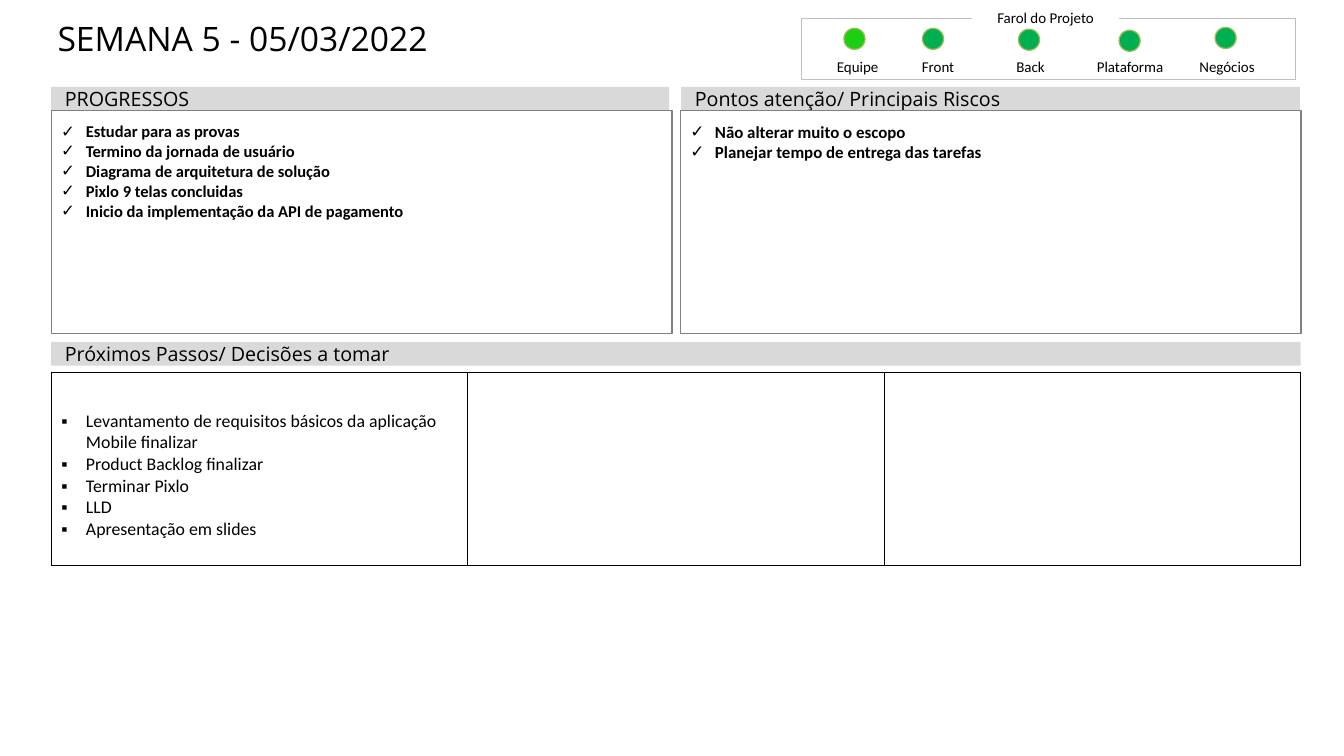
from lxml.etree import SubElement
from pptx import Presentation
from pptx.dml.color import RGBColor
from pptx.enum.shapes import MSO_SHAPE
from pptx.enum.text import MSO_ANCHOR, MSO_AUTO_SIZE, PP_ALIGN
from pptx.oxml.ns import qn
from pptx.util import Pt

BLACK, WHITE, BANNER_GREY = "000000", "FFFFFF", "D9D9D9"
FRAME_GREY, BOX_GREY, LIGHT_EDGE = "BFBFBF", "808080", "9BBB59"
LEFT, BOX_TOP, BOX_WIDTH, BOX_HEIGHT = 40.3, 87.1, 488.9, 175.7
RIGHT_LEFT, FULL_WIDTH = 535.7, 984
BANNER_TOP, BANNER_HEIGHT = 68.4, 18.7
TABLE_TOP, TABLE_HEIGHT, COLUMN_COUNT = 293.2, 152, 3
LABEL_TOP, LABEL_WIDTH, LABEL_HEIGHT, LIGHT_SIZE = 45.4, 70.6, 13.7, 16.6

TITLE_FONT = {"name": "Open Sans", "size": Pt(26.5), "bold": False}
BANNER_FONT = {"name": "Open Sans", "size": Pt(15.5)}
LABEL_FONT = {"name": "Calibri", "size": Pt(11.8)}
PROGRESS_FONT = {"name": "Calibri", "size": Pt(13), "bold": True}
RISK_FONT = {"name": "Calibri", "size": Pt(13.3), "bold": True}
STEP_FONT = {"name": "Calibri", "size": Pt(14)}

PROGRESS = [
    "Estudar para as provas",
    "Termino da jornada de usuário",
    "Diagrama de arquitetura de solução",
    "Pixlo\u00a09 telas concluidas",
    "Inicio da implementação da API de pagamento",
]
RISKS = ["Não alterar muito o escopo", "Planejar tempo de entrega das tarefas"]
NEXT_STEPS = [
    "Levantamento de requisitos básicos da aplicação Mobile finalizar",
    "Product Backlog finalizar",
    "Terminar\u00a0Pixlo",
    "LLD",
    "Apresentação em slides",
]
BANNERS = [
    ("PROGRESSOS", LEFT, BANNER_TOP, 486.7),
    ("Pontos atenção/ Principais Riscos", 536.4, BANNER_TOP, 487.4),
    ("Próximos Passos/ Decisões a tomar", LEFT, 269.3, FULL_WIDTH),
]
LIGHTS = [
    ("Equipe", 640.1, 664.6, 22.3, "1BCF13"),
    ("Front", 703.4, 726.5, 22.3, "00B050"),
    ("Back", 776.2, 802.1, 23, "00B050"),
    ("Plataforma", 854.6, 881.3, 23.8, "00B050"),
    ("Negócios", 931, 956.9, 21.6, "00B050"),
]


def color(value):
    """Turn a hex string into a colour."""
    return RGBColor.from_string(value)


def set_attributes(target, values):
    """Set every attribute named in a dict of format values."""
    for name, value in values.items():
        setattr(target, name, value)


def format_frame(frame, margins, anchor, wrap=True):
    """Set the margins (left, top, right, bottom), anchor and wrapping of a text frame."""
    left, top, right, bottom = (Pt(margin) for margin in margins)
    set_attributes(frame, {
        "auto_size": MSO_AUTO_SIZE.NONE, "word_wrap": wrap, "vertical_anchor": anchor,
        "margin_left": left, "margin_top": top, "margin_right": right, "margin_bottom": bottom,
    })


def write_paragraph(paragraph, text, font, alignment=PP_ALIGN.LEFT):
    """Write one run of black text into a paragraph."""
    paragraph.alignment = alignment
    run = paragraph.add_run()
    run.text = text
    set_attributes(run.font, font)
    run.font.color.rgb = color(BLACK)


def write_bullets(frame, items, font, bullet):
    """Write a bulleted list into a text frame."""
    for index, item in enumerate(items):
        paragraph = frame.add_paragraph() if index else frame.paragraphs[0]
        write_paragraph(paragraph, item, font)
        properties = paragraph._p.get_or_add_pPr()
        properties.set("marL", str(Pt(20.2)))
        properties.set("indent", str(-Pt(19.4)))
        bullet_color = SubElement(properties, qn("a:buClr"))
        SubElement(bullet_color, qn("a:srgbClr"), val=BLACK)
        SubElement(properties, qn("a:buFont"), typeface="Arial")
        SubElement(properties, qn("a:buChar"), char=bullet)


def add_box(slide, bounds, fill=None, line=None, line_width=1, kind=MSO_SHAPE.RECTANGLE):
    """Add a flat shape with an optional fill and line."""
    shape = slide.shapes.add_shape(kind, *(Pt(length) for length in bounds))
    shape.shadow.inherit = False
    if fill:
        shape.fill.solid()
        shape.fill.fore_color.rgb = color(fill)
    else:
        shape.fill.background()
    if line:
        shape.line.color.rgb = color(line)
        shape.line.width = Pt(line_width)
    else:
        shape.line.fill.background()
    return shape


def add_title(slide, text):
    """Place and write the slide title."""
    title = slide.shapes.title
    set_attributes(title, {"left": Pt(36.7), "top": Pt(14.4), "width": Pt(952.6), "height": Pt(62.6)})
    format_frame(title.text_frame, (8.6, 0, 8.6, 0), MSO_ANCHOR.TOP)
    write_paragraph(title.text_frame.paragraphs[0], text, TITLE_FONT)


def add_banner(slide, text, left, top, width):
    """Add a grey section heading."""
    banner = add_box(slide, (left, top, width, BANNER_HEIGHT), BANNER_GREY)
    format_frame(banner.text_frame, (10.8, 5, 10.8, 5), MSO_ANCHOR.MIDDLE)
    write_paragraph(banner.text_frame.paragraphs[0], text, BANNER_FONT)


def add_checklist(slide, left, items, font):
    """Add an outlined box with a check-marked list."""
    box = add_box(slide, (left, BOX_TOP, BOX_WIDTH, BOX_HEIGHT), line=BOX_GREY)
    format_frame(box.text_frame, (7.2, 8.6, 7.2, 3.6), MSO_ANCHOR.TOP)
    write_bullets(box.text_frame, items, font, "✓")


def write_label(shape, text):
    """Write a small centred label at the bottom of a shape."""
    format_frame(shape.text_frame, (4.3, 4.3, 4.3, 0), MSO_ANCHOR.BOTTOM, wrap=False)
    write_paragraph(shape.text_frame.paragraphs[0], text, LABEL_FONT, PP_ALIGN.CENTER)


def add_status_panel(slide):
    """Add the framed row of project status lights."""
    for name, label_left, light_left, light_top, fill in LIGHTS:
        bounds = (label_left, LABEL_TOP, LABEL_WIDTH, LABEL_HEIGHT)
        write_label(slide.shapes.add_textbox(*(Pt(length) for length in bounds)), name)
        add_box(slide, (light_left, light_top, LIGHT_SIZE, LIGHT_SIZE), fill, LIGHT_EDGE,
                kind=MSO_SHAPE.OVAL)
    add_box(slide, (631.4, 14.4, 388.8, 48.2), line=FRAME_GREY, line_width=0.5)
    write_label(add_box(slide, (765.4, 4.3, 115.9, 16.6), WHITE), "Farol do Projeto")


def add_cell_borders(cell):
    """Draw a thin black border on all four sides of a cell."""
    properties = cell._tc.get_or_add_tcPr()
    for index, side in enumerate(("a:lnL", "a:lnR", "a:lnT", "a:lnB")):
        border = properties.makeelement(qn(side), {"w": str(Pt(1))})
        fill = SubElement(border, qn("a:solidFill"))
        SubElement(fill, qn("a:srgbClr"), val=BLACK)
        properties.insert(index, border)


def add_steps_table(slide):
    """Add the table of next steps."""
    table = slide.shapes.add_table(1, COLUMN_COUNT, Pt(LEFT), Pt(TABLE_TOP),
                                   Pt(FULL_WIDTH), Pt(TABLE_HEIGHT)).table
    set_attributes(table, {"first_row": False, "horz_banding": False})
    for cell in table.iter_cells():
        cell.fill.background()
        add_cell_borders(cell)
    steps = table.cell(0, 0)
    steps.margin_top = Pt(30)
    write_bullets(steps.text_frame, NEXT_STEPS, STEP_FONT, "▪")


def main():
    """Build and save the weekly status slide."""
    presentation = Presentation()
    set_attributes(presentation, {"slide_width": Pt(1058.4), "slide_height": Pt(595.4)})
    slide = presentation.slides.add_slide(presentation.slide_layouts.get_by_name("Title Only"))
    add_title(slide, "SEMANA 5 - 05/03/2022")
    for banner in BANNERS:
        add_banner(slide, *banner)
    add_checklist(slide, LEFT, PROGRESS, PROGRESS_FONT)
    add_checklist(slide, RIGHT_LEFT, RISKS, RISK_FONT)
    add_steps_table(slide)
    add_status_panel(slide)
    presentation.save("out.pptx")


main()
